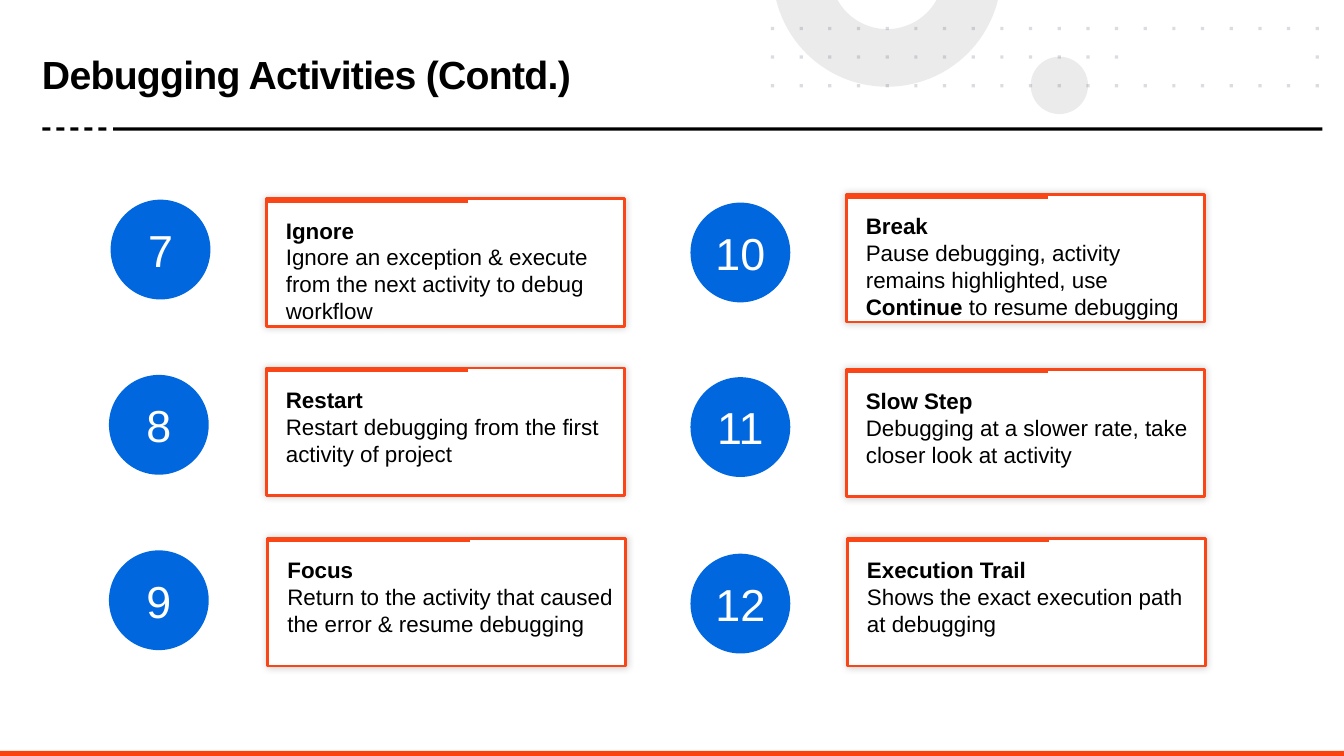
from math import asin, cos, pi, sin

from pptx import Presentation
from pptx.dml.color import RGBColor
from pptx.enum.shapes import MSO_CONNECTOR as CONN, MSO_SHAPE as SHAPE
from pptx.enum.text import MSO_ANCHOR as ANCHOR, PP_ALIGN as ALIGN
from pptx.oxml import parse_xml
from pptx.oxml.ns import nsdecls
from pptx.oxml.xmlchemy import OxmlElement
from pptx.util import Pt

COLORS = {
    "black": "000000", "white": "FFFFFF", "blue": "0067DF", "orange": "FA4616",
    "footer": "FA4211", "grey": "D9D9D9", "slate": "44546A",
}


def paint(sp, color, opacity=100):
    sp.shadow.inherit = False
    sp.fill.solid()
    sp.fill.fore_color.rgb = RGBColor.from_string(COLORS[color])
    sp.line.fill.background()
    if opacity < 100:
        alpha = OxmlElement("a:alpha")
        alpha.set("val", str(opacity * 1000))
        sp.fill._xPr.find(".//{*}srgbClr").append(alpha)


def style(r, size, color, bold=False):
    r.font.name = "Arial"
    r.font.size = Pt(size)
    r.font.bold = bold
    r.font.color.rgb = RGBColor.from_string(COLORS[color])


prs = Presentation()
prs.slide_width, prs.slide_height = Pt(960), Pt(540)
s = prs.slides.add_slide(prs.slide_layouts[6])

dot = s.shapes.add_shape(SHAPE.OVAL, Pt(736.2), Pt(40.5), Pt(41), Pt(41))
paint(dot, "grey", 50)

ring_x, ring_y, steps = 633.6, -19.6, 48
arc = []
for radius, direction in ((81.6, 1), (40.4, -1)):
    start = asin(-ring_y / radius)
    angles = [start + (pi - 2 * start) * i / steps for i in range(steps + 1)]
    arc += [(Pt(ring_x + radius * cos(a)), Pt(max(0, ring_y + radius * sin(a))))
            for a in angles[::direction]]
ring = s.shapes.build_freeform(*arc[0], scale=1.0)
ring.add_line_segments(arc[1:], close=True)
paint(ring.convert_to_shape(), "grey", 50)

grid_x, grid_y, grid_step, side = 550.7, 19.2, 20.48, 2.3
grid = None
for row in range(3):
    for col in range(20):
        if row == 1 and 13 <= col <= 18:
            continue
        x, y = grid_x + col * grid_step, grid_y + row * grid_step
        if grid is None:
            grid = s.shapes.build_freeform(Pt(x), Pt(y), scale=1.0)
        else:
            grid.move_to(Pt(x), Pt(y))
        grid.add_line_segments([(Pt(x + side), Pt(y)), (Pt(x + side), Pt(y + side)),
                                (Pt(x), Pt(y + side))], close=True)
paint(grid.convert_to_shape(), "slate", 20)

title = s.shapes.add_textbox(Pt(30), Pt(28), Pt(520.6), Pt(54))
tf = title.text_frame
tf.word_wrap = True
tf.vertical_anchor = ANCHOR.MIDDLE
tf.margin_left = tf.margin_right = tf.margin_top = tf.margin_bottom = 0
p = tf.paragraphs[0]
p.text = "Debugging Activities (Contd.)"
p.line_spacing = 0.85
style(p.runs[0], 28, "black", True)
p.runs[0].font._element.set("spc", "-50")

bars = [(80.8, 91, 863.8, 2.3, "black"), (0, 536.4, 960, 3.6, "footer")]
bars += [(30.2 + 10 * i, 91, 5.8, 2.3, "black") for i in range(5)]
for x, y, w, h, color in bars:
    paint(s.shapes.add_shape(SHAPE.RECTANGLE, Pt(x), Pt(y), Pt(w), Pt(h)), color)

activities = [
    ("7", 79, 142.6, 190.2, 141.8, "Ignore",
     ["Ignore an exception & execute from the next activity to debug workflow"]),
    ("8", 77.8, 267.8, 190.2, 262.8, "Restart",
     ["Restart debugging from the first activity of project"]),
    ("9", 77.8, 393.1, 191.3, 384.5, "Focus",
     ["Return to the activity that caused the error & resume debugging"]),
    ("10", 493.2, 144.7, 604.5, 138.8, "Break",
     ["Pause debugging, activity remains highlighted, use ", "Continue",
      " to resume debugging"]),
    ("11", 493.2, 269.4, 604.5, 263.7, "Slow Step",
     ["Debugging at a slower rate, take closer look at activity"]),
    ("12", 493.2, 395.5, 605.3, 384.5, "Execution Trail",
     ["Shows the exact execution path at debugging"]),
]
for number, circle_x, circle_y, x, y, heading, parts in activities:
    circle = s.shapes.add_shape(SHAPE.OVAL, Pt(circle_x), Pt(circle_y), Pt(71.3), Pt(71.3))
    paint(circle, "blue")
    tf = circle.text_frame
    tf.text = number
    tf.vertical_anchor = ANCHOR.MIDDLE
    p = tf.paragraphs[0]
    p.alignment = ALIGN.CENTER
    style(p.runs[0], 32, "white")

    card = s.shapes.add_shape(SHAPE.RECTANGLE, Pt(x), Pt(y), Pt(255.8), Pt(91.2))
    paint(card, "white")
    card.line.color.rgb = RGBColor.from_string(COLORS["orange"])
    card.line.width = Pt(2)
    card._element.spPr.find("{*}effectLst").append(parse_xml(
        f'<a:outerShdw {nsdecls("a")} blurRad="{Pt(5)}" dist="0" dir="0">'
        f'<a:srgbClr val="{COLORS["black"]}"><a:alpha val="20000"/></a:srgbClr></a:outerShdw>'))

    accent = s.shapes.add_connector(CONN.STRAIGHT, Pt(x + 1), Pt(y + 1.5),
                                    Pt(x + 144.3), Pt(y + 1.5))
    accent.line.color.rgb = RGBColor.from_string(COLORS["orange"])
    accent.line.width = Pt(3)
    accent._element.spPr.append(OxmlElement("a:effectLst"))

    label = s.shapes.add_textbox(Pt(x + 6.9), Pt(y + 9.4), Pt(255.6), Pt(71.3))
    tf = label.text_frame
    tf.word_wrap = True
    tf.text = heading
    style(tf.paragraphs[0].runs[0], 16, "black", True)
    p = tf.add_paragraph()
    for part in parts:
        r = p.add_run()
        r.text = part
        style(r, 16, "black", part == "Continue")

prs.save("out.pptx")
